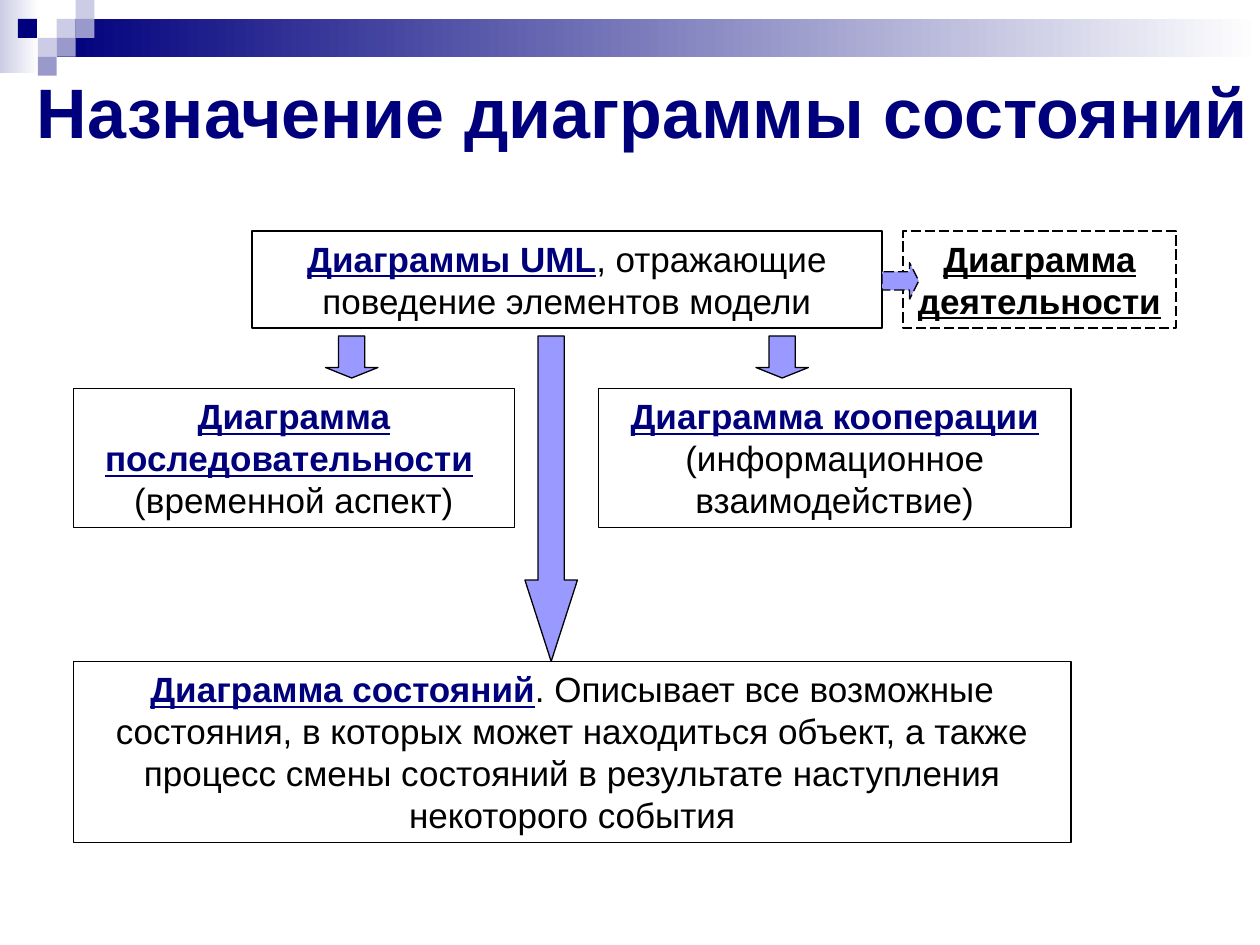
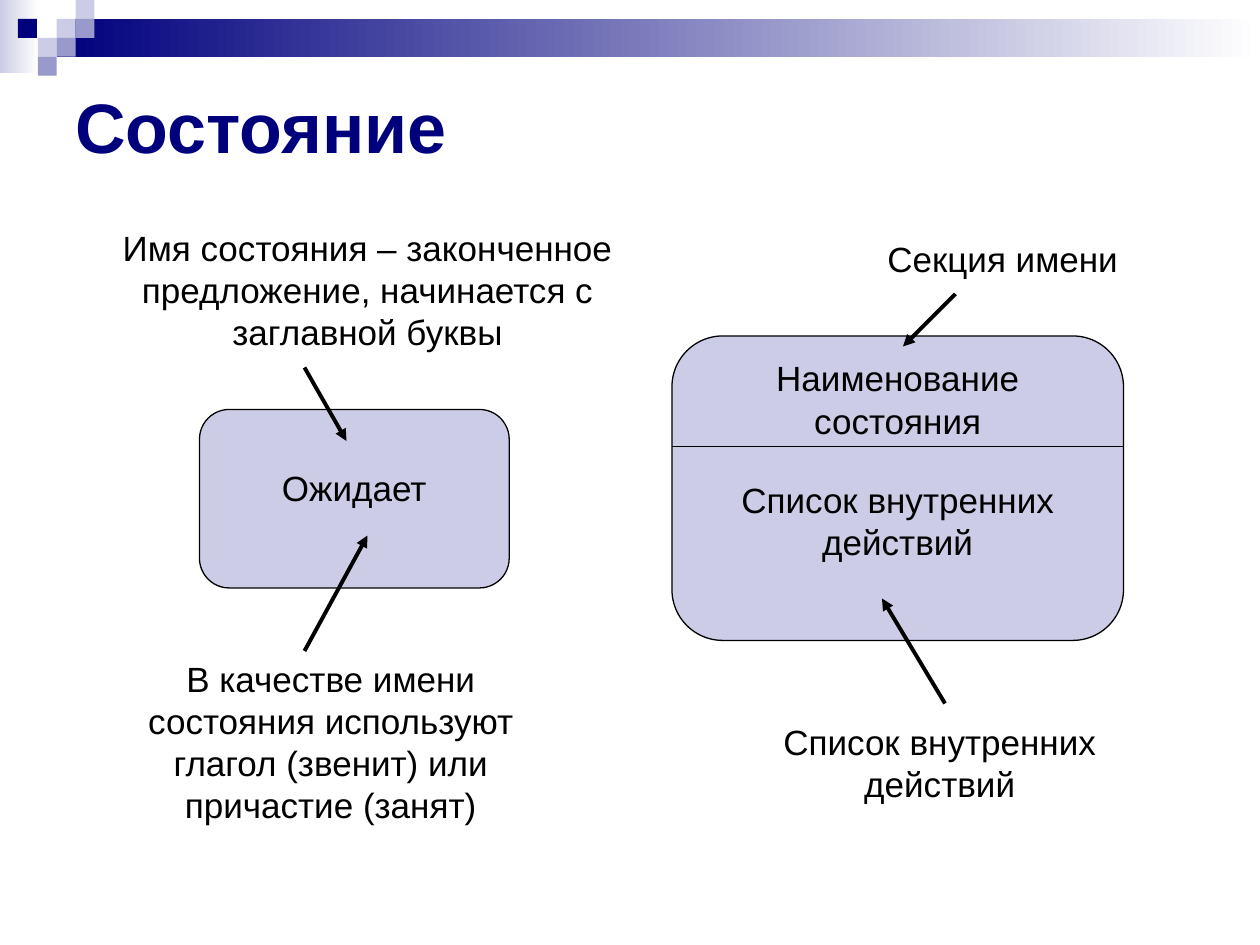
"""Build two slides about UML state diagrams."""
from dataclasses import dataclass
from typing import Optional

from lxml.etree import SubElement
from pptx import Presentation
from pptx.dml.color import RGBColor
from pptx.enum.dml import MSO_LINE
from pptx.enum.shapes import MSO_CONNECTOR, MSO_SHAPE
from pptx.enum.text import MSO_ANCHOR, PP_ALIGN
from pptx.oxml.ns import qn
from pptx.util import Inches, Pt

WIDTH, HEIGHT = Inches(10), Inches(7.5)
COLUMNS, ROWS = 120, 90
TILE = 1.8
FONT = "Arial"
TITLE_SIZE, BODY_SIZE = 40, 20
LINE_PITCH = 1.2
NAVY, LAVENDER, SLATE = "00007D", "CCCCE6", "9999CC"
ARROW_BLUE, BLACK, WHITE = "9999FF", "000000", "FFFFFF"


@dataclass(frozen=True)
class Area:
    """A rectangle in grid columns and rows."""
    column: float
    row: float
    columns: float
    rows: float

    def lengths(self) -> tuple:
        """Give left, top, width and height."""
        return across(self.column), down(self.row), across(self.columns), down(self.rows)


@dataclass(frozen=True)
class Words:
    """A run of text; a term is bold and underlined."""
    text: str
    color: str = BLACK
    term: bool = False


@dataclass(frozen=True)
class Box:
    """A shape with paragraphs of words."""
    area: Area
    paragraphs: tuple = ()
    preset: MSO_SHAPE = MSO_SHAPE.RECTANGLE
    fill: Optional[str] = None
    outline: Optional[str] = BLACK
    dashed: bool = False
    top_inset: float = 0.05


@dataclass(frozen=True)
class BlockArrow:
    """A block arrow pointing down unless turned."""
    area: Area
    head: float = 0.25
    turn: float = 0
    dashed: bool = False


@dataclass(frozen=True)
class Line:
    """A straight line between two grid points."""
    start: tuple
    end: tuple
    weight: float = 2.25
    arrow: bool = True


def across(columns: float) -> int:
    """Turn columns into a length."""
    return round(WIDTH * columns / COLUMNS)


def down(rows: float) -> int:
    """Turn rows into a length."""
    return round(HEIGHT * rows / ROWS)


def rgb(color: str) -> RGBColor:
    """Turn a hex string into a colour."""
    return RGBColor.from_string(color)


def term(text: str, color: str = NAVY) -> Words:
    """Make an emphasised run."""
    return Words(text, color, True)


def write(frame, paragraphs: tuple, size: float, align: PP_ALIGN) -> None:
    """Fill a text frame run by run."""
    frame.word_wrap = True
    for index, runs in enumerate(paragraphs):
        paragraph = frame.paragraphs[0] if index == 0 else frame.add_paragraph()
        paragraph.alignment = align
        paragraph.line_spacing = Pt(size * LINE_PITCH)
        for words in runs:
            run = paragraph.add_run()
            run.text = words.text
            run.font.name, run.font.size = FONT, Pt(size)
            run.font.bold = run.font.underline = words.term
            run.font.color.rgb = rgb(words.color)


def draw_box(slide, box: Box):
    """Draw a shape and its text."""
    shape = slide.shapes.add_shape(box.preset, *box.area.lengths())
    shape.shadow.inherit = False
    if box.fill:
        shape.fill.solid()
        shape.fill.fore_color.rgb = rgb(box.fill)
    else:
        shape.fill.background()
    if box.outline:
        shape.line.color.rgb = rgb(box.outline)
        shape.line.width = Pt(0.75)
        if box.dashed:
            shape.line.dash_style = MSO_LINE.LONG_DASH
    else:
        shape.line.fill.background()
    shape.text_frame.vertical_anchor = MSO_ANCHOR.TOP
    shape.text_frame.margin_top = Inches(box.top_inset)
    write(shape.text_frame, box.paragraphs, BODY_SIZE, PP_ALIGN.CENTER)
    return shape


def draw_block_arrow(slide, arrow: BlockArrow) -> None:
    """Draw a block arrow."""
    shape = draw_box(slide, Box(arrow.area, preset=MSO_SHAPE.DOWN_ARROW,
                                fill=ARROW_BLUE, dashed=arrow.dashed))
    shape.adjustments[0], shape.adjustments[1] = 0.5, arrow.head
    shape.rotation = arrow.turn


def draw_line(slide, line: Line) -> None:
    """Draw a line, with an arrowhead at its end if asked."""
    connector = slide.shapes.add_connector(
        MSO_CONNECTOR.STRAIGHT, across(line.start[0]), down(line.start[1]),
        across(line.end[0]), down(line.end[1]))
    connector.line.color.rgb = rgb(BLACK)
    connector.line.width = Pt(line.weight)
    if line.arrow:
        SubElement(connector.line._get_or_add_ln(), qn("a:tailEnd"), type="triangle")
    SubElement(connector._element.spPr, qn("a:effectLst"))


def draw_note(slide, area: Area, text: str) -> None:
    """Draw a centred note."""
    note = slide.shapes.add_textbox(*area.lengths())
    write(note.text_frame, ((Words(text),),), BODY_SIZE, PP_ALIGN.CENTER)


def draw_fade(slide, area: Area, color: str) -> None:
    """Draw a band that fades to white on the right."""
    band = draw_box(slide, Box(area, outline=None))
    band.fill.gradient()
    band.fill.gradient_angle = 180
    for stop, shade in zip(band.fill.gradient_stops, (WHITE, color)):
        stop.color.rgb = rgb(shade)


def start_slide(deck, title: str, area: Area, align: PP_ALIGN):
    """Add a slide with the shared bands, tiles and title."""
    slide = deck.slides.add_slide(deck.slide_layouts[6])
    draw_fade(slide, Area(0, 0, 3.7, 7), LAVENDER)
    draw_fade(slide, Area(3 * TILE, TILE, COLUMNS - 3 * TILE, 2 * TILE), NAVY)
    tiles = ((3, 1, LAVENDER), (4, 0, LAVENDER), (4, 1, SLATE), (2, 2, LAVENDER),
             (0.95, 1, NAVY), (3, 2, SLATE), (2, 3, SLATE))
    for column, row, color in tiles:
        draw_box(slide, Box(Area(column * TILE, row * TILE, TILE, TILE),
                            fill=color, outline=None))
    heading = slide.shapes.add_textbox(*area.lengths()).text_frame
    heading.vertical_anchor = MSO_ANCHOR.MIDDLE
    write(heading, ((Words(title, NAVY),),), TITLE_SIZE, align)
    heading.paragraphs[0].runs[0].font.bold = True
    return slide


def build_purpose(deck) -> None:
    """Build the slide on the purpose of the state diagram."""
    slide = start_slide(deck, "Назначение диаграммы состояний",
                        Area(0, 6, COLUMNS, 9), PP_ALIGN.RIGHT)
    diagrams = (
        Box(Area(24, 22, 60, 9.25), ((
            term("Диаграммы UML"), Words(", отражающие поведение элементов модели")),)),
        Box(Area(7, 37, 42, 13.25), (
            (term("Диаграмма последовательности"), Words(" ")),
            (Words("(временной аспект)"),))),
        Box(Area(57, 37, 45, 13.25), ((
            term("Диаграмма кооперации"), Words(" (информационное взаимодействие)")),)),
        Box(Area(7, 63, 95, 17.25), ((
            term("Диаграмма состояний"),
            Words(". Описывает все возможные состояния, в которых может находиться объект, "
                  "а также процесс смены состояний в результате наступления "
                  "некоторого события")),)),
        Box(Area(86, 22, 26, 9.25), ((term("Диаграмма деятельности", BLACK),),), dashed=True),
    )
    for diagram in diagrams:
        draw_box(slide, diagram)
    arrows = (
        BlockArrow(Area(31, 32, 5, 4)),
        BlockArrow(Area(72, 32, 5, 4)),
        BlockArrow(Area(50, 32, 5, 31), head=1.55),
        BlockArrow(Area(84, 25, 3.5, 3.5), turn=270, dashed=True),
    )
    for arrow in arrows:
        draw_block_arrow(slide, arrow)


def build_state(deck) -> None:
    """Build the slide on the notation of a state."""
    slide = start_slide(deck, "Состояние", Area(6, 6, 108, 12), PP_ALIGN.LEFT)
    rounded = MSO_SHAPE.FLOWCHART_ALTERNATE_PROCESS
    states = (
        Box(Area(19, 39, 29.5, 17), ((Words("Ожидает"),),), rounded, LAVENDER, top_inset=0.38),
        Box(Area(64, 32, 43, 29), ((Words("Наименование состояния"),),), rounded, LAVENDER),
        Box(Area(68, 45, 35, 13.25), ((Words("Список внутренних действий"),),),
            fill=LAVENDER, outline=None),
    )
    for state in states:
        draw_box(slide, state)
    notes = (
        (Area(9, 21, 52, 13.25),
         "Имя состояния – законченное предложение, начинается с заглавной буквы"),
        (Area(12, 62, 39, 17.25),
         "В качестве имени состояния используют глагол (звенит) или причастие (занят)"),
        (Area(83, 22, 25, 5.25), "Секция имени"),
        (Area(71, 68, 37, 9.25), "Список внутренних действий"),
    )
    for area, text in notes:
        draw_note(slide, area, text)
    lines = (
        Line((64, 42.5), (107, 42.5), weight=0.75, arrow=False),
        Line((29, 35), (33, 42)),
        Line((29, 62), (35, 51)),
        Line((91, 28), (86, 33)),
        Line((90, 67), (84, 57)),
    )
    for line in lines:
        draw_line(slide, line)


def main() -> None:
    """Build and save the presentation."""
    deck = Presentation()
    deck.slide_width, deck.slide_height = WIDTH, HEIGHT
    build_purpose(deck)
    build_state(deck)
    deck.save("out.pptx")


if __name__ == "__main__":
    main()
